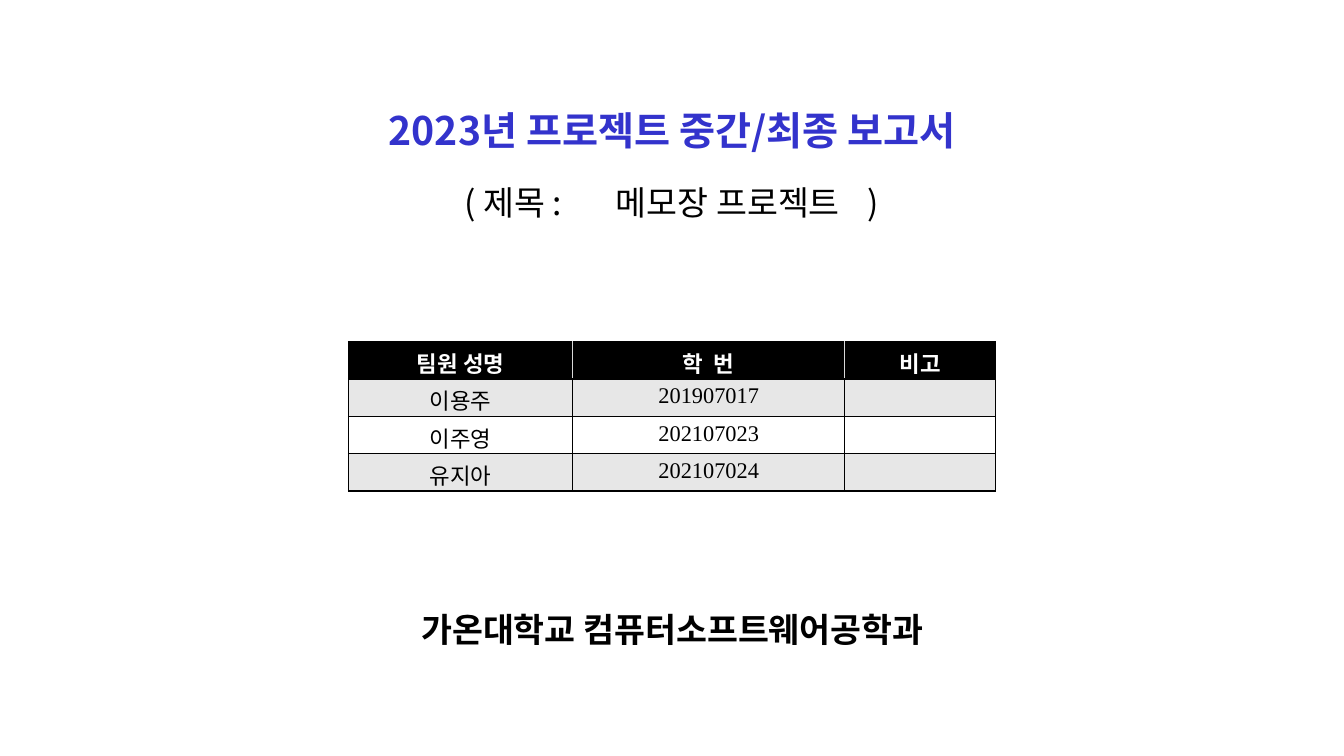
from dataclasses import dataclass

from lxml import etree
from pptx import Presentation
from pptx.dml.color import RGBColor
from pptx.enum.text import MSO_ANCHOR, MSO_AUTO_SIZE, PP_ALIGN
from pptx.oxml.ns import qn
from pptx.util import Pt

CENTER = PP_ALIGN.CENTER
MIDDLE, TOP = MSO_ANCHOR.MIDDLE, MSO_ANCHOR.TOP
NO_AUTOFIT = MSO_AUTO_SIZE.NONE


@dataclass(frozen=True)
class Theme:
    sans: str = "Noto Sans CJK KR"
    serif: str = "Times New Roman"
    accent: str = "3333CC"
    black: str = "000000"
    white: str = "FFFFFF"
    band: str = "E7E7E7"
    divider: str = "D9D9D9"
    title: int = 28
    heading: int = 24
    cell: int = 16


THEME = Theme()


def write(tf, text, font=THEME.serif, size=THEME.heading, color=THEME.black,
          bold=False, spacing=0, tabs=()):
    """Fill the first paragraph with centred, formatted text."""
    p = tf.paragraphs[0]
    p.alignment = CENTER
    p.space_before = p.space_after = Pt(0)
    if tabs:
        tab_list = etree.SubElement(p._p.get_or_add_pPr(), qn("a:tabLst"))
        for pos in tabs:
            etree.SubElement(tab_list, qn("a:tab"), pos=str(Pt(pos)), algn="l")
    r = p.add_run()
    r.text = text
    r.font.name, r.font.size, r.font.bold = font, Pt(size), bold
    r.font.color.rgb = RGBColor.from_string(color)
    rpr = r._r.get_or_add_rPr()
    etree.SubElement(rpr, qn("a:ea"), typeface=THEME.sans)
    if spacing:
        rpr.set("spc", str(spacing * 100))


class Deck:
    def __init__(self, theme, width, height):
        self.theme = theme
        self.prs = Presentation()
        self.prs.slide_width, self.prs.slide_height = Pt(width), Pt(height)
        self.s = self.prs.slides.add_slide(self.prs.slide_layouts[0])

    def frame(self, sp, box, text, **fmt):
        sp.left, sp.top, sp.width, sp.height = map(Pt, box)
        tf = sp.text_frame
        tf.word_wrap = True
        tf.auto_size = NO_AUTOFIT
        tf.vertical_anchor = MIDDLE
        write(tf, text, **fmt)

    def placeholder(self, idx, box, text, **fmt):
        self.frame(self.s.placeholders[idx], box, text, **fmt)

    def text(self, box, text, **fmt):
        self.frame(self.s.shapes.add_textbox(*map(Pt, box)), box, text, **fmt)

    def borders(self, cell, colors):
        tcpr = cell._tc.get_or_add_tcPr()
        for side, color in zip("LRTB", colors):
            ln = etree.SubElement(tcpr, qn(f"a:ln{side}"), w=str(Pt(1)))
            fill = etree.SubElement(ln, qn("a:solidFill"))
            etree.SubElement(fill, qn("a:srgbClr"), val=color)

    def table(self, left, top, widths, row_height, rows, header_spacing):
        t = self.theme
        height = row_height * len(rows)
        table = self.s.shapes.add_table(
            len(rows), len(widths), Pt(left), Pt(top),
            Pt(sum(widths)), Pt(height)).table
        for col, width in zip(table.columns, widths):
            col.width = Pt(width)
        last = len(widths) - 1
        for i, values in enumerate(rows):
            table.rows[i].height = Pt(row_height)
            header = i == 0
            fill = t.black if header else t.band if i % 2 else t.white
            inner = t.divider if header else t.black
            for j, value in enumerate(values):
                cell = table.cell(i, j)
                cell.margin_top, cell.margin_bottom = Pt(3.6), Pt(0)
                cell.vertical_anchor = TOP
                self.borders(cell, (inner if j else t.black,
                                    inner if j < last else t.black,
                                    t.black, t.black))
                cell.fill.solid()
                cell.fill.fore_color.rgb = RGBColor.from_string(fill)
                if value:
                    write(cell.text_frame, value, size=t.cell, bold=header,
                          color=t.white if header else t.black,
                          spacing=header_spacing.get(value, 0))


deck = Deck(THEME, 960, 540)

# Report title and project name
deck.placeholder(0, (240, 68, 480, 50), "2023년 프로젝트 중간/최종 보고서",
                 font=THEME.sans, size=THEME.title, color=THEME.accent, bold=True)
deck.placeholder(1, (240, 122, 480, 45), "( 제목 : \t메모장 프로젝트\t)",
                 font=THEME.sans, tabs=(144, 360))

# Team members
members = [
    ("팀원 성명", "학 번", "비고"),
    ("이용주", "201907017", ""),
    ("이주영", "202107023", ""),
    ("유지아", "202107024", ""),
]
deck.table(249, 244, (160, 194.5, 107.5), 26.5, members, {"학 번": 2})

# Department
deck.text((257, 430.5, 446.5, 37), "가온대학교 컴퓨터소프트웨어공학과", bold=True)

deck.prs.save("out.pptx")
